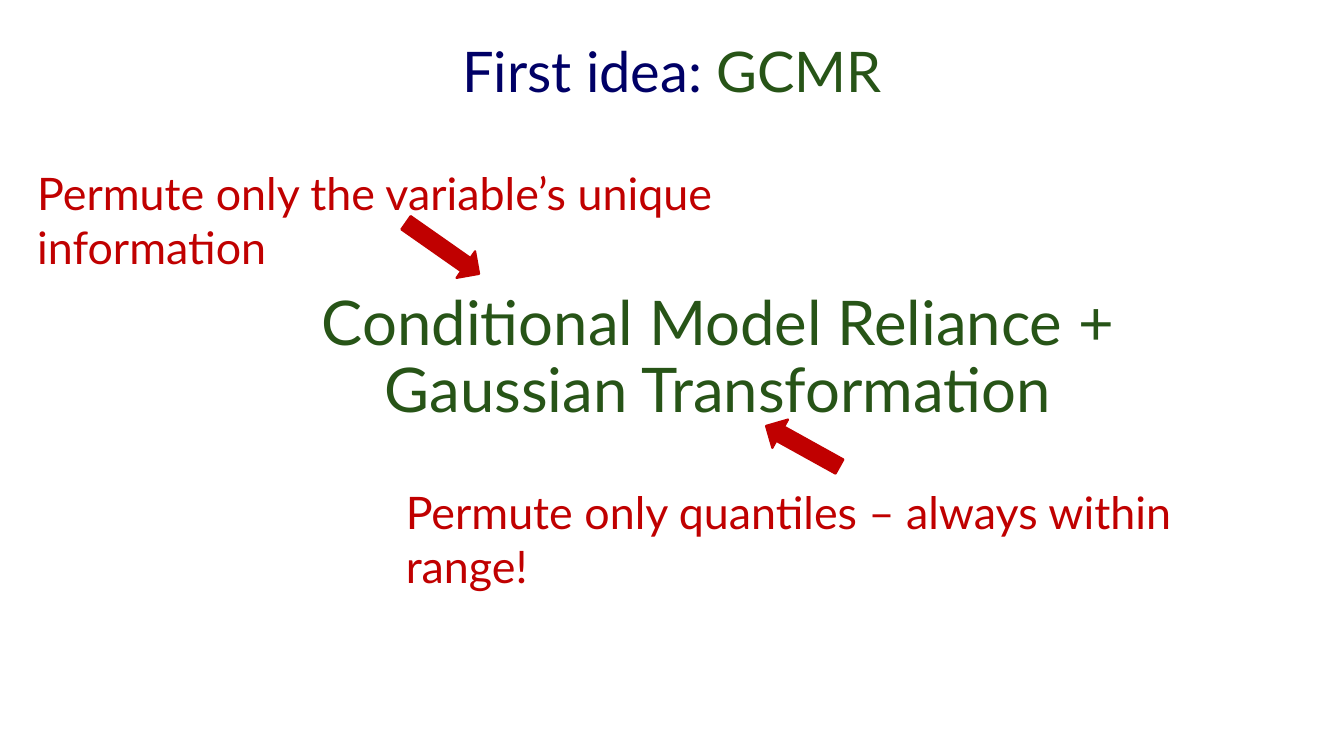
from dataclasses import dataclass

from pptx import Presentation
from pptx.dml.color import RGBColor
from pptx.enum.shapes import MSO_SHAPE
from pptx.enum.text import PP_ALIGN
from pptx.util import Pt

PX = 9525  # EMU per px, 96 px to the inch
SLIDE_W, SLIDE_H = 1280, 720


@dataclass(frozen=True)
class Theme:
    font: str = "Lato"
    navy: RGBColor = RGBColor(0x00, 0x00, 0x66)
    green: RGBColor = RGBColor(0x27, 0x54, 0x17)
    red: RGBColor = RGBColor(0xC0, 0x00, 0x00)
    title: int = 40
    formula: int = 44
    note: int = 32
    outline: float = 1.5


THEME = Theme()


def emu(*lengths):
    return [length * PX for length in lengths]


def add_text(slide, box, runs, size, align=PP_ALIGN.LEFT, spacing=1.0):
    """Place one wrapped paragraph made of (text, colour) runs."""
    tf = slide.shapes.add_textbox(*emu(*box)).text_frame
    tf.word_wrap = True
    p = tf.paragraphs[0]
    p.alignment = align
    p.line_spacing = spacing
    p.font.name = THEME.font
    p.font.size = Pt(size)
    for text, color in runs:
        r = p.add_run()
        r.text = text
        r.font.color.rgb = color


def add_title(slide, box):
    runs = [("First idea: ", THEME.navy), ("GCMR", THEME.green)]
    add_text(slide, box, runs, THEME.title, PP_ALIGN.CENTER, 0.9)


def add_formula(slide, box):
    runs = [("Conditional Model Reliance + Gaussian Transformation", THEME.green)]
    add_text(slide, box, runs, THEME.formula, PP_ALIGN.CENTER, 0.9)


def add_note(slide, box, text, arrow_offset, arrow_size, rotation):
    """Place a red remark and its arrow, offset from the remark's corner."""
    add_text(slide, box, [(text, THEME.red)], THEME.note)
    x, y = box[0] + arrow_offset[0], box[1] + arrow_offset[1]
    sp = slide.shapes.add_shape(MSO_SHAPE.DOWN_ARROW, *emu(x, y, *arrow_size))
    sp.rotation = rotation
    sp.shadow.inherit = False
    sp.fill.solid()
    sp.fill.fore_color.rgb = THEME.red
    sp.line.color.rgb = THEME.red
    sp.line.width = Pt(THEME.outline)


def main():
    prs = Presentation()
    prs.slide_width, prs.slide_height = emu(SLIDE_W, SLIDE_H)
    slide = prs.slides.add_slide(prs.slide_layouts[6])
    add_title(slide, (0, 37, SLIDE_W, 41))
    add_formula(slide, (204, 274, 960, 173))
    add_note(slide, (377, 457, 858, 61),
             "Permute only quantiles – always within range!",
             (372, -72), (31, 80), 119)
    add_note(slide, (26, 153, 881, 61),
             "Permute only the variable’s unique information",
             (380, 41), (31, 85), 305)
    prs.save("out.pptx")


if __name__ == "__main__":
    main()
